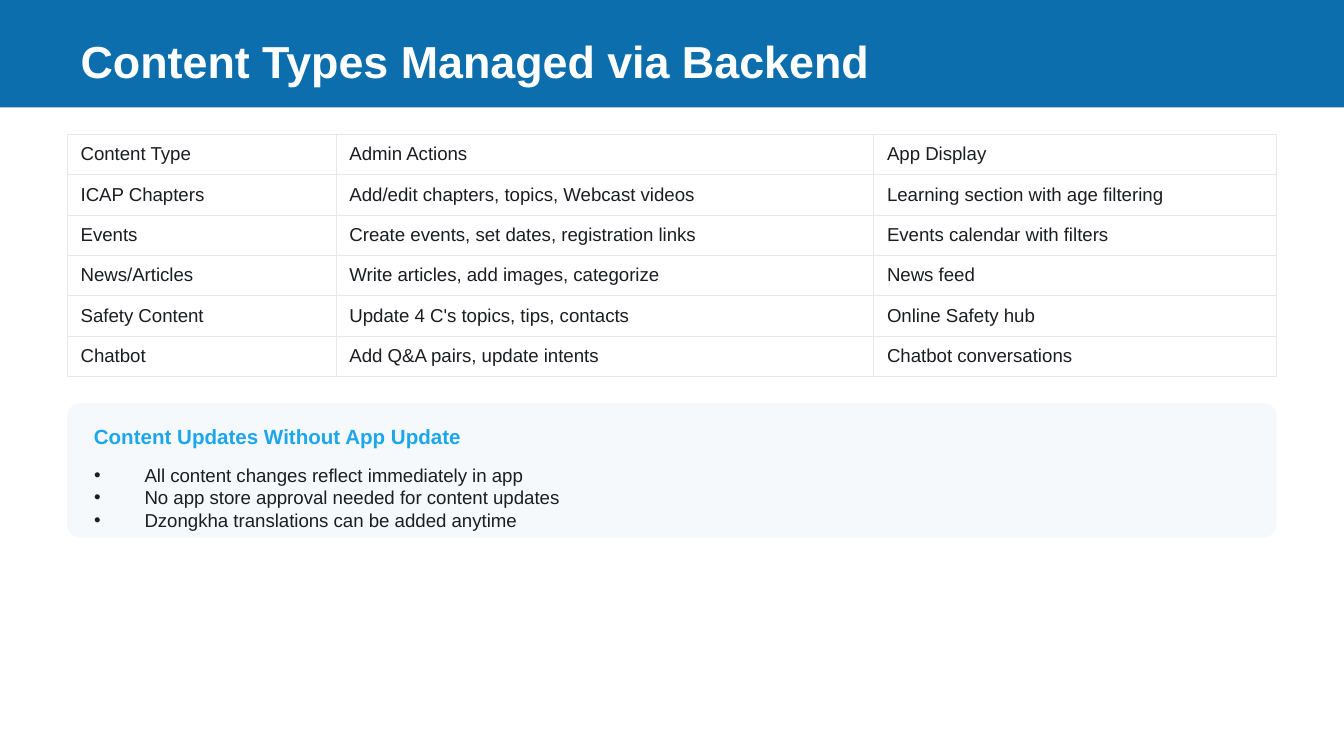
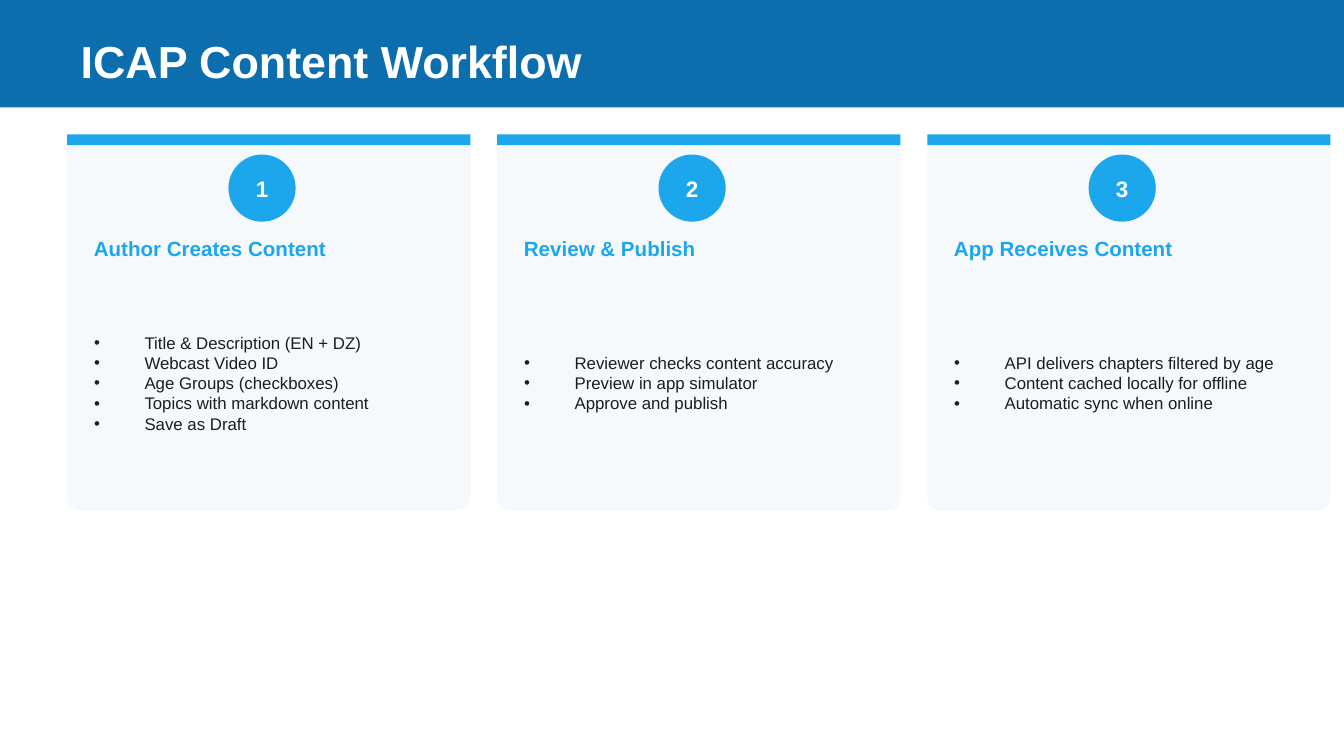
from dataclasses import dataclass

from lxml import etree
from pptx import Presentation
from pptx.dml.color import RGBColor
from pptx.enum.shapes import MSO_SHAPE
from pptx.enum.text import MSO_ANCHOR, MSO_AUTO_SIZE, PP_ALIGN
from pptx.oxml.ns import qn
from pptx.util import Inches, Pt

RECT, ROUNDED, OVAL = MSO_SHAPE.RECTANGLE, MSO_SHAPE.ROUNDED_RECTANGLE, MSO_SHAPE.OVAL
LEFT, CENTER = PP_ALIGN.LEFT, PP_ALIGN.CENTER
MIDDLE = MSO_ANCHOR.MIDDLE
NO_AUTOFIT = MSO_AUTO_SIZE.NONE

# Content
CONTENT_TITLE = "Content Types Managed via Backend"
CONTENT_TYPES = [
    ("Content Type", "Admin Actions", "App Display"),
    ("ICAP Chapters", "Add/edit chapters, topics, Webcast videos", "Learning section with age filtering"),
    ("Events", "Create events, set dates, registration links", "Events calendar with filters"),
    ("News/Articles", "Write articles, add images, categorize", "News feed"),
    ("Safety Content", "Update 4 C's topics, tips, contacts", "Online Safety hub"),
    ("Chatbot", "Add Q&A pairs, update intents", "Chatbot conversations"),
]
UPDATES_HEADING = "Content Updates Without App Update"
UPDATES = [
    "All content changes reflect immediately in app",
    "No app store approval needed for content updates",
    "Dzongkha translations can be added anytime",
]

WORKFLOW_TITLE = "ICAP Content Workflow"
STEPS = [
    ("Author Creates Content", [
        "Title & Description (EN + DZ)",
        "Webcast Video ID",
        "Age Groups (checkboxes)",
        "Topics with markdown content",
        "Save as Draft",
    ]),
    ("Review & Publish", [
        "Reviewer checks content accuracy",
        "Preview in app simulator",
        "Approve and publish",
    ]),
    ("App Receives Content", [
        "API delivers chapters filtered by age",
        "Content cached locally for offline",
        "Automatic sync when online",
    ]),
]


@dataclass(frozen=True)
class Theme:
    font: str = "Arial"
    band: str = "0D6EAE"
    accent: str = "1CA7EC"
    panel: str = "F5F9FC"
    ink: str = "1B1D21"
    paper: str = "FFFFFF"
    grid: str = "E8E8E8"
    title_size: int = 24
    number_size: int = 12
    heading_size: int = 11
    text_size: int = 10
    step_size: int = 9


THEME = Theme()

# Layout, in inches
SLIDE_W = 10
SLIDE_H = SLIDE_W * 9 / 16
MARGIN = 0.5
CONTENT_W = SLIDE_W - 2 * MARGIN
BAND_H = 0.8
TOP = 1
GAP = 0.2
PAD = 0.1
RADIUS = 0.1
HEADING_H = 0.3
BULLET_INDENT = Pt(27)
COLUMN_SHARES = (2, 4, 3)
ROW_H = 0.3
UPDATES_H = 1
STEP_W, STEP_H = CONTENT_W / 3, 2.8
STEP_BAR_H = 0.08
BADGE = 0.5
BADGE_TOP = TOP + 0.15
STEP_HEADING_TOP = TOP + 0.7

TITLE_AND_CONTENT, COMPARISON = 1, 4


def place(shape, left, top, width, height):
    shape.left, shape.top = Inches(left), Inches(top)
    shape.width, shape.height = Inches(width), Inches(height)


def style_text(frame, size, color, bold=False, align=LEFT):
    frame.word_wrap = True
    frame.vertical_anchor = MIDDLE
    for paragraph in frame.paragraphs:
        paragraph.alignment = align
        paragraph.space_before = paragraph.space_after = Pt(0)
        paragraph.line_spacing = 1.0
        for run in paragraph.runs:
            run.font.name = THEME.font
            run.font.size = Pt(size)
            run.font.bold = bold
            run.font.color.rgb = RGBColor.from_string(color)


def add_block(slide, kind, box, color):
    block = slide.shapes.add_shape(kind, *map(Inches, box))
    block.shadow.inherit = False
    block.fill.solid()
    block.fill.fore_color.rgb = RGBColor.from_string(color)
    block.line.fill.background()
    if kind == ROUNDED:
        block.adjustments[0] = RADIUS / min(box[2:])
    return block


def add_label(slide, text, box, size, color, align=LEFT):
    label = slide.shapes.add_textbox(*map(Inches, box))
    label.text_frame.text = text
    style_text(label.text_frame, size, color, bold=True, align=align)


def add_heading(slide, text, left, top, width):
    add_label(slide, text, (left, top, width, HEADING_H), THEME.heading_size, THEME.accent)


def bring_to_front(slide, shape):
    slide.shapes.element.append(shape.element)


def fill_list(slide, body, items, box, size):
    place(body, *box)
    frame = body.text_frame
    frame.text = "\n".join(items)
    frame.auto_size = NO_AUTOFIT
    for paragraph in frame.paragraphs:
        properties = paragraph._p.get_or_add_pPr()
        properties.set("marL", str(BULLET_INDENT))
        properties.set("indent", str(-BULLET_INDENT))
        etree.SubElement(properties, qn("a:buChar")).set("char", "•")
    style_text(frame, size, THEME.ink)
    bring_to_front(slide, body)


def add_titled_slide(deck, layout, title_text):
    slide = deck.slides.add_slide(deck.slide_layouts[layout])
    add_block(slide, RECT, (0, 0, SLIDE_W, BAND_H), THEME.band)
    title = slide.shapes.title
    place(title, MARGIN, 0.2, CONTENT_W, 0.5)
    title.text_frame.text = title_text
    title.text_frame.auto_size = NO_AUTOFIT
    style_text(title.text_frame, THEME.title_size, THEME.paper, bold=True)
    bring_to_front(slide, title)
    bodies = [p for p in slide.placeholders if p.placeholder_format.idx > 0]
    return slide, bodies


def outline_cell(cell):
    properties = cell._tc.get_or_add_tcPr()
    for position, side in enumerate(("lnL", "lnR", "lnT", "lnB")):
        line = etree.Element(qn(f"a:{side}"), w=str(Pt(0.5)))
        fill = etree.SubElement(line, qn("a:solidFill"))
        etree.SubElement(fill, qn("a:srgbClr")).set("val", THEME.grid)
        properties.insert(position, line)


def add_content_table(slide):
    rows, columns = len(CONTENT_TYPES), len(COLUMN_SHARES)
    box = (MARGIN, TOP, CONTENT_W, rows * ROW_H)
    table = slide.shapes.add_table(rows, columns, *map(Inches, box)).table
    table.first_row = table.horz_banding = False
    for column, share in zip(table.columns, COLUMN_SHARES):
        column.width = Inches(CONTENT_W * share / sum(COLUMN_SHARES))
    for row, texts in zip(table.rows, CONTENT_TYPES):
        row.height = Inches(ROW_H)
        for cell, text in zip(row.cells, texts):
            cell.text_frame.text = text
            style_text(cell.text_frame, THEME.text_size, THEME.ink)
            cell.vertical_anchor = MIDDLE
            cell.fill.background()
            outline_cell(cell)


def build_content_types(deck):
    slide, (updates_body,) = add_titled_slide(deck, TITLE_AND_CONTENT, CONTENT_TITLE)
    add_content_table(slide)

    # Panel under the table
    panel_top = TOP + len(CONTENT_TYPES) * ROW_H + GAP
    inner_left, inner_w = MARGIN + PAD, CONTENT_W - 2 * PAD
    add_block(slide, ROUNDED, (MARGIN, panel_top, CONTENT_W, UPDATES_H), THEME.panel)
    add_heading(slide, UPDATES_HEADING, inner_left, panel_top + PAD, inner_w)
    list_top = panel_top + PAD + HEADING_H
    list_h = panel_top + UPDATES_H - list_top
    fill_list(slide, updates_body, UPDATES, (inner_left, list_top, inner_w, list_h), THEME.text_size)


def build_workflow(deck):
    slide, bodies = add_titled_slide(deck, COMPARISON, WORKFLOW_TITLE)
    for index, ((heading, items), body) in enumerate(zip(STEPS, bodies)):
        left = MARGIN + index * (STEP_W + GAP)
        inner_left, inner_w = left + PAD, STEP_W - 2 * PAD

        # Card with its top bar
        add_block(slide, ROUNDED, (left, TOP, STEP_W, STEP_H), THEME.panel)
        add_block(slide, RECT, (left, TOP, STEP_W, STEP_BAR_H), THEME.accent)

        # Step number, slightly left of the card's middle
        badge_left = left + 0.4 * STEP_W
        add_block(slide, OVAL, (badge_left, BADGE_TOP, BADGE, BADGE), THEME.accent)
        number_box = (badge_left, BADGE_TOP + 0.05, BADGE, BADGE - 0.1)
        add_label(slide, str(index + 1), number_box, THEME.number_size, THEME.paper, CENTER)

        # Heading and list
        add_heading(slide, heading, inner_left, STEP_HEADING_TOP, inner_w)
        list_top = STEP_HEADING_TOP + HEADING_H
        list_h = TOP + STEP_H - PAD - list_top
        fill_list(slide, body, items, (inner_left, list_top, inner_w, list_h), THEME.step_size)

    for unused in bodies[len(STEPS):]:
        slide.shapes.element.remove(unused.element)


def main():
    deck = Presentation()
    deck.slide_width, deck.slide_height = Inches(SLIDE_W), Inches(SLIDE_H)
    build_content_types(deck)
    build_workflow(deck)
    deck.save("out.pptx")


if __name__ == "__main__":
    main()
